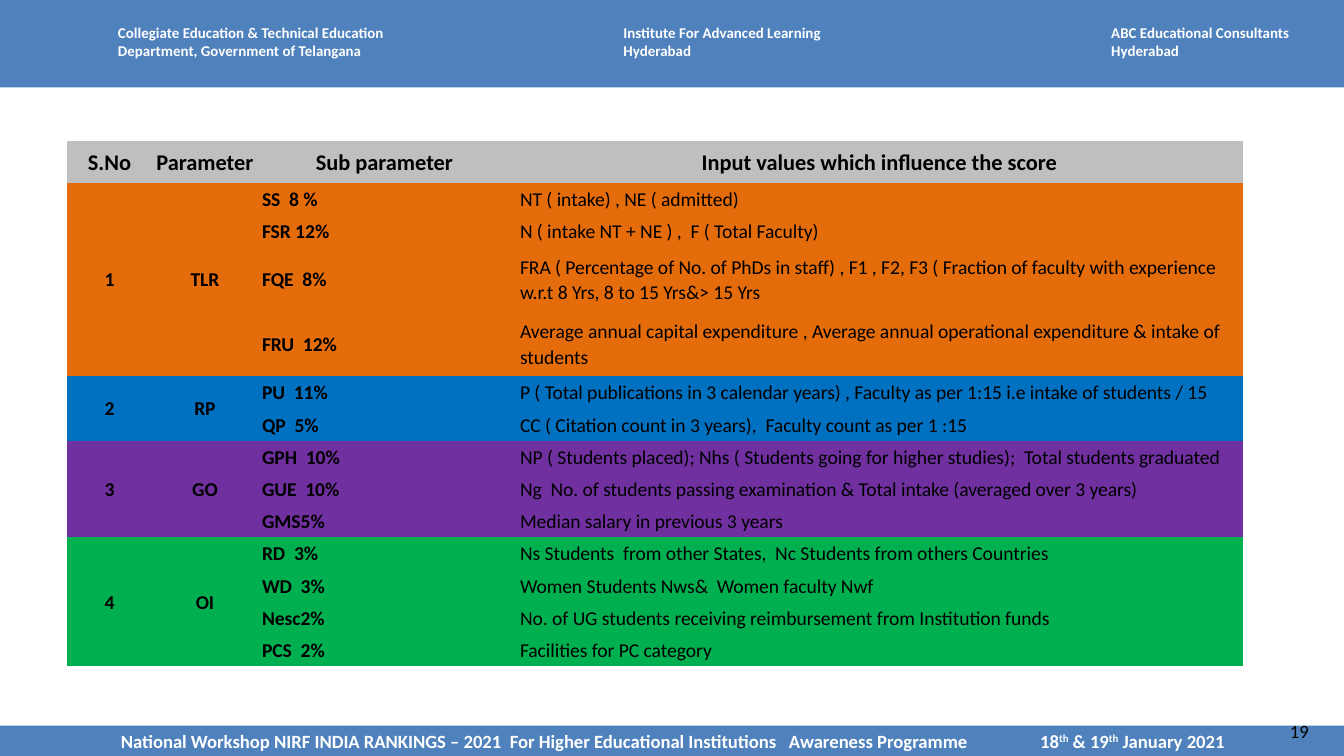
from lxml.etree import SubElement
from pptx import Presentation
from pptx.dml.color import RGBColor
from pptx.enum.shapes import MSO_SHAPE
from pptx.enum.text import MSO_ANCHOR, PP_ALIGN
from pptx.oxml.ns import qn
from pptx.util import Inches, Pt

COLORS = {"banner": "4F81BD", "white": "FFFFFF", "black": "000000", "heading": "BFBFBF",
          "TLR": "E46C0A", "RP": "0070C0", "GO": "7030A0", "OI": "00B050"}
HEADINGS = ["S.No", "Parameter ", "Sub parameter ", "Input values which influence the score"]
PARAMETERS = {
    "TLR": [
        ("SS  8 %", "NT ( intake) , NE ( admitted) "),
        ("FSR 12%", "N ( intake NT + NE ) ,  F ( Total Faculty)"),
        ("FQE  8%", "FRA ( Percentage of No. of PhDs in staff) , F1 , F2, F3 ( Fraction of faculty "
                    "with experience w.r.t 8 Yrs, 8 to 15 Yrs&> 15 Yrs"),
        ("FRU  12%", "Average annual capital expenditure , Average annual operational expenditure "
                     "& intake of students"),
    ],
    "RP": [
        ("PU  11%", "P ( Total publications in 3 calendar years) , Faculty as per 1:15 i.e intake "
                    "of students / 15"),
        ("QP  5%", "CC ( Citation count in 3 years),  Faculty count as per 1 :15"),
    ],
    "GO": [
        ("GPH  10%", "NP ( Students placed); Nhs ( Students going for higher studies);  "
                     "Total students graduated"),
        ("GUE  10%", "Ng  No. of students passing examination & Total intake (averaged over 3 years)"),
        ("GMS5%", "Median salary in previous 3 years"),
    ],
    "OI": [
        ("RD  3%", "Ns Students  from other States,  Nc Students from others Countries"),
        ("WD  3%", "Women Students Nws&  Women faculty Nwf"),
        ("Nesc2%", "No. of UG students receiving reimbursement from Institution funds"),
        ("PCS  2%", "Facilities for PC category"),
    ],
}
COLUMN_WIDTHS = [0.63, 0.79, 1.92, 5.41]
SPACER_HEIGHT, HEADING_HEIGHT, LINE_HEIGHT = 0.15, 0.31, 0.24
TWO_LINE_ROWS = ("FQE  8%", "FRU  12%")
NO_GRID_STYLE = "{2D5ABB26-0587-4C30-8999-92F81FD0307C}"


class WorkshopSlide:
    """Draws the elements of one slide in a shared style."""

    def __init__(self, slide, font="Calibri"):
        self.slide = slide
        self.font = font

    def color(self, name):
        return RGBColor.from_string(COLORS[name])

    def style(self, paragraph, size, color, bold=True):
        for run in paragraph.runs:
            run.font.name = self.font
            run.font.size = Pt(size)
            run.font.bold = bold
            run.font.color.rgb = self.color(color)

    def band(self, top, height):
        band = self.slide.shapes.add_shape(
            MSO_SHAPE.RECTANGLE, 0, Inches(top), Inches(10), Inches(height))
        band.shadow.inherit = False
        band.fill.solid()
        band.fill.fore_color.rgb = self.color("banner")
        band.line.fill.background()
        return band

    def label(self, left, top, width, height, lines, size=8, color="white", bold=True):
        frame = self.slide.shapes.add_textbox(
            Inches(left), Inches(top), Inches(width), Inches(height)).text_frame
        frame.word_wrap = True
        frame.text = lines
        for paragraph in frame.paragraphs:
            self.style(paragraph, size, color, bold)

    def footer(self, top, height, pieces, date_stop):
        frame = self.band(top, height).text_frame
        frame.margin_left, frame.margin_right = Inches(0.9), 0
        frame.margin_top = frame.margin_bottom = 0
        frame.vertical_anchor = MSO_ANCHOR.MIDDLE
        line = frame.paragraphs[0]
        line.alignment = PP_ALIGN.LEFT
        stops = SubElement(line._p.get_or_add_pPr(), qn("a:tabLst"))
        SubElement(stops, qn("a:tab"), pos=str(Inches(date_stop)), algn="l")
        for piece in pieces:
            run = line.add_run()
            run.text = piece
            if piece == "th":
                run.font._element.set("baseline", "30000")
        self.style(line, 10, "white")

    def cell(self, cell, text, fill, size=10.5, bold=True, centered=False):
        cell.margin_left = cell.margin_right = Inches(0.02 if centered else 0.03)
        cell.margin_top = cell.margin_bottom = 0
        cell.vertical_anchor = MSO_ANCHOR.MIDDLE
        if fill:
            cell.fill.solid()
            cell.fill.fore_color.rgb = self.color(fill)
        else:
            cell.fill.background()
        paragraph = cell.text_frame.paragraphs[0]
        paragraph.line_spacing = 1.07
        paragraph.alignment = PP_ALIGN.CENTER if centered else PP_ALIGN.LEFT
        if text:
            paragraph.text = text
            self.style(paragraph, size, "black", bold)
        else:
            paragraph._p.get_or_add_endParaRPr().set("sz", "800")

    def score_table(self, left, top):
        subs = [sub for rows in PARAMETERS.values() for sub, _ in rows]
        heights = [SPACER_HEIGHT, HEADING_HEIGHT] + [
            LINE_HEIGHT * (2 if sub in TWO_LINE_ROWS else 1) for sub in subs]
        frame = self.slide.shapes.add_table(
            len(heights), len(COLUMN_WIDTHS), Inches(left), Inches(top),
            Inches(sum(COLUMN_WIDTHS)), Inches(sum(heights)))
        table = frame.table
        table.first_row = table.horz_banding = False
        table._tbl.tblPr.find(qn("a:tableStyleId")).text = NO_GRID_STYLE
        for column, width in zip(table.columns, COLUMN_WIDTHS):
            column.width = Inches(width)
        for row, height in zip(table.rows, heights):
            row.height = Inches(height)
        for column, heading in enumerate(HEADINGS):
            self.cell(table.cell(0, column), "", None)
            self.cell(table.cell(1, column), heading, "heading", 12, centered=True)
        table.cell(0, 0).merge(table.cell(0, len(HEADINGS) - 1))
        first = 2
        for number, (parameter, rows) in enumerate(PARAMETERS.items(), 1):
            for offset, (sub, inputs) in enumerate(rows):
                row = first + offset
                for column, text in enumerate((str(number), parameter)):
                    self.cell(table.cell(row, column), "" if offset else text,
                              parameter, centered=True)
                self.cell(table.cell(row, 2), sub, parameter)
                self.cell(table.cell(row, 3), inputs, parameter, bold=False)
            last = first + len(rows) - 1
            for column in range(2):
                table.cell(first, column).merge(table.cell(last, column))
            first = last + 1


deck = Presentation()
deck.slide_width = Inches(10)
deck.slide_height = deck.slide_width * 9 // 16
page = WorkshopSlide(deck.slides.add_slide(deck.slide_layouts[6]))
page.band(0, 0.65)
for left, width, organiser in (
        (0.78, 2.26, "Collegiate Education & Technical Education\nDepartment, Government of Telangana"),
        (4.54, 1.76, "Institute For Advanced Learning\nHyderabad"),
        (8.17, 1.67, "ABC Educational Consultants\nHyderabad")):
    page.label(left, 0.13, width, 0.37, organiser)
page.footer(5.4, 0.23, [
    "National Workshop NIRF INDIA RANKINGS – 2021  For Higher Educational Institutions   "
    "Awareness Programme\t18", "th", " & 19", "th", " January 2021"], 6.84)
page.label(9.5, 5.31, 0.5, 0.27, "19", 10, "black", False)
page.score_table(0.5, 0.9)
deck.save("out.pptx")
